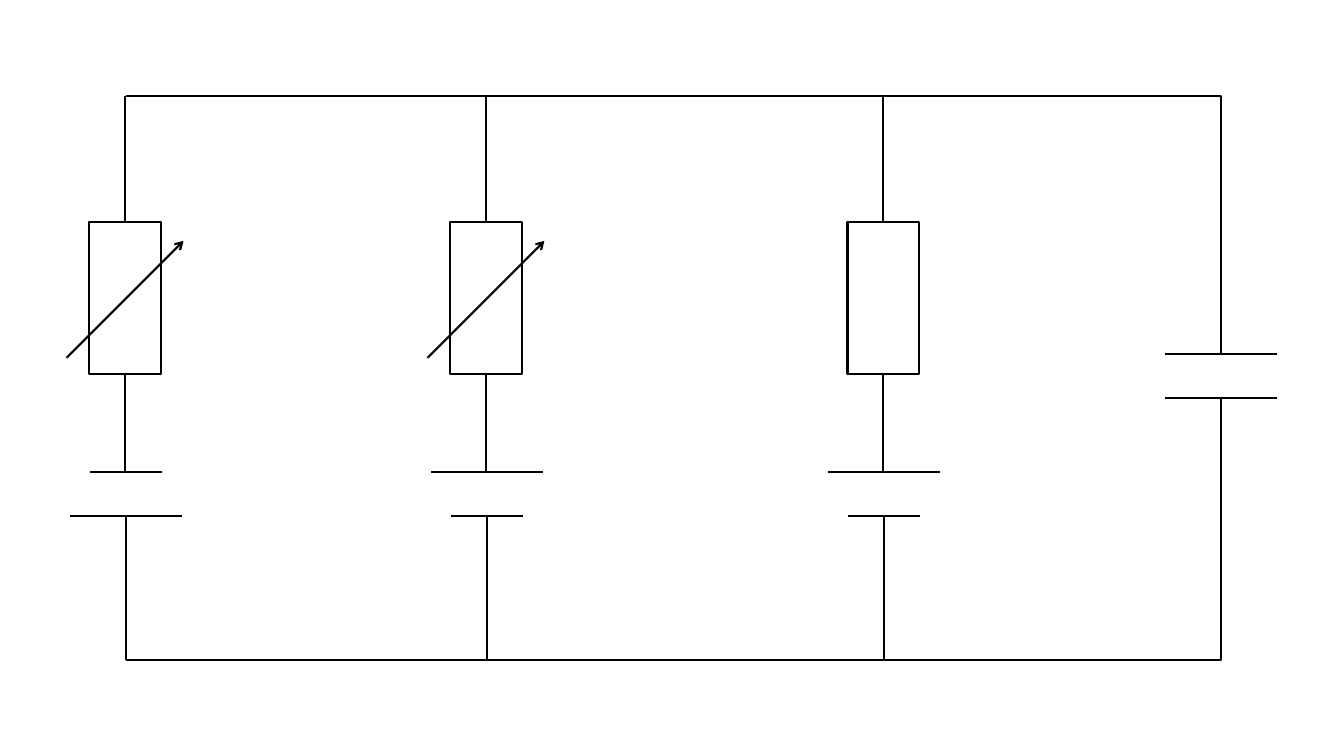
from pptx import Presentation
from pptx import util as u
from pptx.dml import color
from pptx.enum import shapes
from pptx.oxml import ns, xmlchemy

COLUMNS, ROWS = 13.33, 7.5
TOP_RAIL, BOTTOM_RAIL = 0.95, 6.55
RESISTOR_TOP, RESISTOR_BOTTOM = 2.2, 3.71
UPPER_PLATE, LOWER_PLATE = 4.68, 5.12
SHORT_PLATE, LONG_PLATE = 0.71, 1.11
RIGHT_RAIL = 12.11


def paint(value):
    """Turn a hex string into a colour."""
    return color.RGBColor.from_string(value)


class Circuit:
    """Draws circuit symbols on one slide, measured in columns and rows."""

    def __init__(self, deck, ink="000000", weight=1.5):
        """Add a blank slide with one group for the circuit."""
        self.ink, self.weight = ink, weight
        self.column = deck.slide_width / COLUMNS
        self.row = deck.slide_height / ROWS
        page = deck.slides.add_slide(deck.slide_layouts[6])
        self.group = page.shapes.add_group_shape().shapes

    def place(self, x, y):
        """Convert a grid position to slide units."""
        return round(x * self.column), round(y * self.row)

    def stroke(self, shape):
        """Give a shape the circuit's line style."""
        shape.line.color.rgb = paint(self.ink)
        shape.line.width = u.Pt(self.weight)

    def outline(self, shape):
        """Leave a shape unfilled, with a plain line and no shadow."""
        shape.shadow.inherit = False
        shape.fill.background()
        self.stroke(shape)

    def wire(self, start, end, arrow=False):
        """Draw a straight line, optionally with an arrowhead at its end."""
        line = self.group.add_connector(
            shapes.MSO_CONNECTOR.STRAIGHT, *self.place(*start), *self.place(*end))
        self.stroke(line)
        if arrow:
            head = xmlchemy.OxmlElement("a:tailEnd")
            head.set("type", "arrow")
            line.line._get_or_add_ln().append(head)
        line._element.find(ns.qn("p:spPr")).append(xmlchemy.OxmlElement("a:effectLst"))

    def plate(self, center, y, width):
        """Draw a horizontal plate centred on a wire."""
        self.wire((center - width / 2, y), (center + width / 2, y))

    def rail(self, *points):
        """Draw an open line through the points."""
        first, *others = [self.place(*point) for point in points]
        builder = self.group.build_freeform(*first, scale=1.0)
        builder.add_line_segments(others, close=False)
        self.outline(builder.convert_to_shape())

    def resistor(self, axis):
        """Draw a resistor box around a branch axis."""
        left, top = self.place(axis - SHORT_PLATE / 2, RESISTOR_TOP)
        size = self.place(SHORT_PLATE, RESISTOR_BOTTOM - RESISTOR_TOP)
        self.outline(self.group.add_shape(shapes.MSO_SHAPE.RECTANGLE, left, top, *size))

    def branch(self, axis, upper_width, lower_width, variable):
        """Draw a resistor and battery in series between the rails."""
        center = axis + 0.01
        self.plate(center, UPPER_PLATE, upper_width)
        self.plate(center, LOWER_PLATE, lower_width)
        self.resistor(axis)
        self.wire((axis, TOP_RAIL), (axis, RESISTOR_TOP))
        self.wire((axis, RESISTOR_BOTTOM), (axis, UPPER_PLATE))
        self.wire((center, LOWER_PLATE), (center, BOTTOM_RAIL))
        if variable:
            middle, reach = 2.97, 0.58
            self.wire((axis - reach, middle + reach),
                      (axis + reach, middle - reach), arrow=True)


def main():
    """Build the membrane circuit slide."""
    deck = Presentation()
    deck.slide_width, deck.slide_height = u.Inches(COLUMNS), u.Inches(ROWS)
    circuit = Circuit(deck)
    for rail_y, plate_y in ((TOP_RAIL, 3.51), (BOTTOM_RAIL, 3.95)):
        circuit.plate(RIGHT_RAIL, plate_y, LONG_PLATE)
        circuit.rail((1.25, rail_y), (RIGHT_RAIL, rail_y), (RIGHT_RAIL, plate_y))
    circuit.branch(1.24, SHORT_PLATE, LONG_PLATE, variable=True)
    circuit.branch(4.82, LONG_PLATE, SHORT_PLATE, variable=True)
    circuit.branch(8.76, LONG_PLATE, SHORT_PLATE, variable=False)
    deck.save("out.pptx")


if __name__ == "__main__":
    main()
